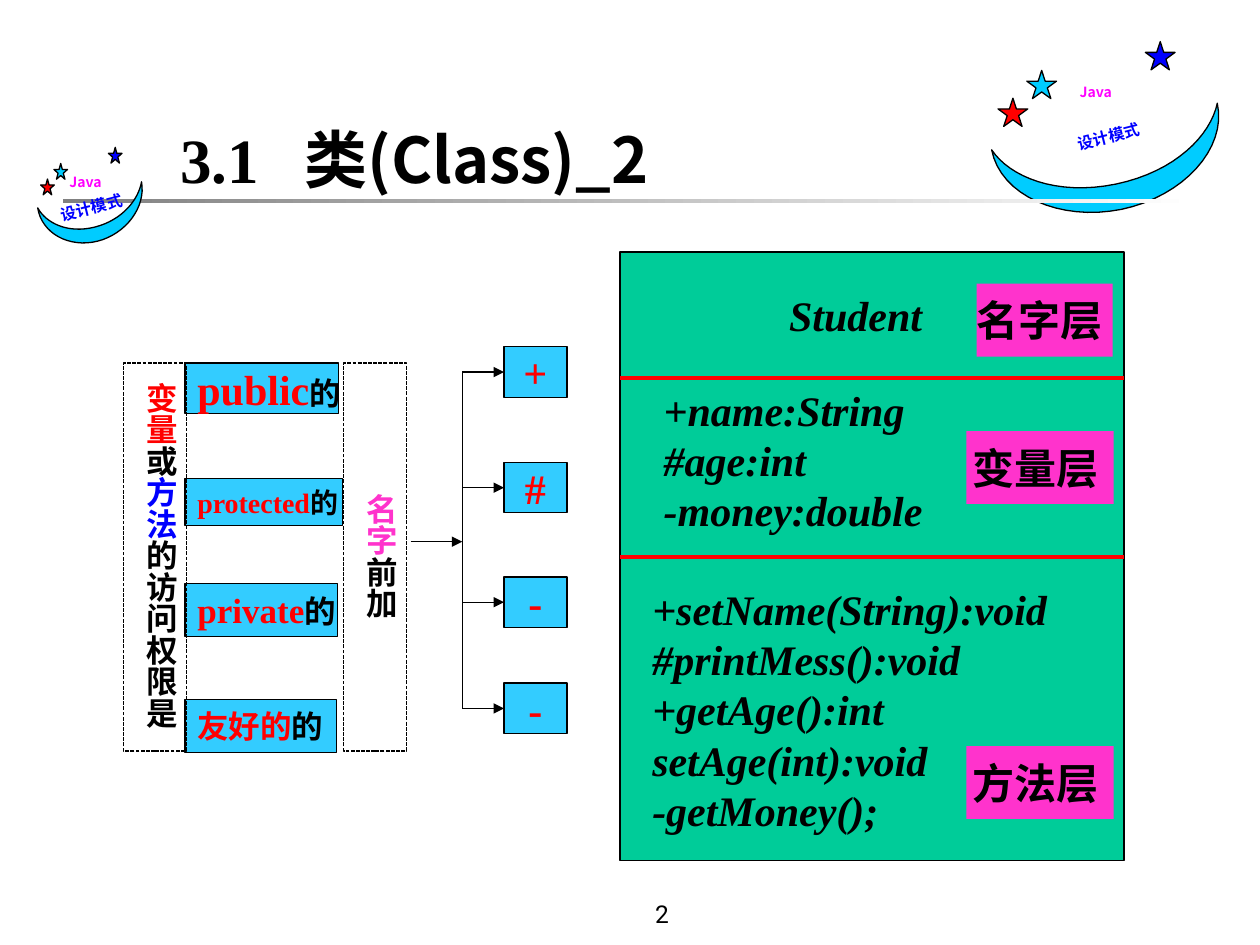
"""Build the slide on Java class diagrams and access marks."""
import dataclasses

import lxml.etree
import pptx
import pptx.dml.color
import pptx.enum.dml
import pptx.enum.shapes
import pptx.enum.text
import pptx.oxml.ns
import pptx.util

Cm = pptx.util.Cm
Pt = pptx.util.Pt
Kind = pptx.enum.shapes.MSO_SHAPE
Align = pptx.enum.text.PP_ALIGN
Anchor = pptx.enum.text.MSO_ANCHOR
qn = pptx.oxml.ns.qn


@dataclasses.dataclass(frozen=True)
class Theme:
    """Colours, fonts and type sizes of the slide."""
    black: str = "000000"
    white: str = "FFFFFF"
    gray: str = "808080"
    red: str = "FF0000"
    blue: str = "0000FF"
    cyan: str = "00CCFF"
    sky: str = "33CCFF"
    green: str = "00CC99"
    pink: str = "FF33CC"
    violet: str = "FF00FF"
    serif: str = "Times New Roman"
    hans: str = "Noto Sans CJK SC"
    kanji: str = "Noto Sans CJK JP"
    plain: str = "Roboto"
    title: int = 36
    head: int = 24
    mid: int = 20
    body: int = 18
    small: int = 16
    page: int = 14
    badge: int = 9
    tiny: int = 8


T = Theme()
MOON = [(0, 2.18), (0.36, 2.72), (1.3, 3.12), (2.51, 2.87), (3.71, 2.62),
        (4.42, 1.88), (4.55, 1.24), (4.75, 2.16), (3.86, 3.12), (2.62, 3.38),
        (1.37, 3.63), (0.18, 3.1), (0, 2.18)]
STARS = [(0.13, 1.14, T.red), (3.1, 0, T.blue), (0.71, 0.58, T.cyan)]


def tint(code):
    """Turn a hex code into a colour."""
    return pptx.dml.color.RGBColor.from_string(code)


def add_run(para, text, size, font, color=T.black, bold=True, italic=False):
    """Add one formatted run to a paragraph."""
    run = para.add_run()
    run.text = text
    face = run.font
    face.size, face.bold, face.italic, face.name = Pt(size), bold, italic, font
    face.color.rgb = tint(color)
    east = lxml.etree.SubElement(run._r.get_or_add_rPr(), qn("a:ea"))
    east.set("typeface", font)


def write(shape, lines, align=Align.CENTER, anchor=Anchor.MIDDLE, wrap=False):
    """Fill a shape with lines, each a list of runs."""
    frame = shape.text_frame
    frame.word_wrap, frame.vertical_anchor = wrap, anchor
    for i, runs in enumerate(lines):
        para = frame.add_paragraph() if i else frame.paragraphs[0]
        para.alignment = align
        for run in runs:
            add_run(para, *run)
    return frame


def paint(shape, fill=None, line=T.black):
    """Set the fill and outline of a shape and drop its shadow."""
    shape.shadow.inherit = False
    if fill:
        shape.fill.solid()
        shape.fill.fore_color.rgb = tint(fill)
    else:
        shape.fill.background()
    if line:
        shape.line.color.rgb = tint(line)
        shape.line.width = Pt(0.75)
    else:
        shape.line.fill.background()
    return shape


def add_box(host, place, fill=None, line=T.black, kind=Kind.RECTANGLE):
    """Add a painted preset shape."""
    return paint(host.add_shape(kind, *map(Cm, place)), fill, line)


def add_text(host, place, lines, **look):
    """Add a text box."""
    box = host.add_textbox(*map(Cm, place))
    write(box, lines, **look)
    return box


def add_line(host, start, end, color=T.black, width=0.75, arrow=False):
    """Add a straight line, with an arrowhead on request."""
    link = host.add_connector(pptx.enum.shapes.MSO_CONNECTOR.STRAIGHT,
                              *map(Cm, start + end))
    link.line.color.rgb = tint(color)
    link.line.width = Pt(width)
    if arrow:
        tip = lxml.etree.SubElement(link.line._get_or_add_ln(), qn("a:tailEnd"))
        tip.set("type", "triangle")
    lxml.etree.SubElement(link._element.spPr, qn("a:effectLst"))
    return link


def curve(knots, steps=16):
    """Sample a chain of cubic curves."""
    dots = [knots[0]]
    for i in range(0, len(knots) - 1, 3):
        for t in (n / steps for n in range(1, steps + 1)):
            mix = ((1 - t) ** 3, 3 * t * (1 - t) ** 2, 3 * t * t * (1 - t), t ** 3)
            dots.append(tuple(sum(m * k[axis] for m, k in zip(mix, knots[i:i + 4]))
                              for axis in (0, 1)))
    return dots


def add_badge(slide, left, top, wide=1.0, high=1.0):
    """Add the moon and stars badge, scaling all but its captions."""
    host = slide.shapes.add_group_shape().shapes

    def fit(x, y):
        return left + x * wide, top + y * high

    for text, size, font, color, x, y, width, turn in [
            ("Java", T.tiny, T.kanji, T.violet, 2.1, 0.71, 1.8, 0),
            ("设计模式", T.badge, T.hans, T.blue, 2.36, 1.6, 2.4, 345.8)]:
        mid, head = fit(x, y)
        box = add_text(host, (mid - width / 2, head, width, 0.66),
                       [[(text, size, font, color)]], anchor=Anchor.TOP)
        box.rotation = turn
    dots = [tuple(map(Cm, fit(x, y))) for x, y in curve(MOON)]
    path = host.build_freeform(*dots[0])
    path.add_line_segments(dots[1:], close=True)
    paint(path.convert_to_shape(), T.cyan)
    for x, y, color in STARS:
        add_box(host, fit(x, y) + (0.6 * wide, 0.57 * high), color,
                kind=Kind.STAR_5_POINT)


def add_title(slide):
    """Place and write the title."""
    title = slide.shapes.title
    title.left, title.top, title.width, title.height = map(Cm, (3.38, 2.34, 11.63, 1.7))
    frame = write(title, [[]], Align.LEFT, wrap=True)
    frame.auto_size = pptx.enum.text.MSO_AUTO_SIZE.NONE
    para = frame.paragraphs[0]
    stops = lxml.etree.SubElement(para._p.get_or_add_pPr(), qn("a:tabLst"))
    lxml.etree.SubElement(stops, qn("a:tab"), pos=str(Cm(2.5)), algn="l")
    add_run(para, "3.1\t", T.title, T.serif)
    add_run(para, "类(Class)_2", T.title, T.hans)


def add_rule(slide):
    """Add the fading bar under the title."""
    bar = add_box(slide.shapes, (1.27, 4.01, 22.86, 0.08), line=None)
    bar.fill.gradient()
    bar.fill.gradient_angle = 0
    for stop, color in zip(bar.fill.gradient_stops, (T.gray, T.white)):
        stop.color.rgb = tint(color)


def add_class(slide):
    """Add the class diagram with its three layers."""
    host = slide.shapes
    add_box(host, (12.5, 5.08, 10.16, 12.27), T.green)
    for y in (7.62, 11.23):
        add_line(host, (12.5, y), (22.66, y), T.red, 2.25)
    layers = [
        ((13.54, 5.72, 7.42, 1.27), Align.CENTER, ["Student"]),
        ((13.13, 7.62, 6.78, 3.3), Align.LEFT,
         ["+name:String", "#age:int", "-money:double"]),
        ((12.9, 11.63, 8.66, 5.33), Align.LEFT,
         ["+setName(String):void", "#printMess():void", "+getAge():int",
          "setAge(int):void", "-getMoney();"])]
    for place, align, lines in layers:
        runs = [[(line, T.head, T.serif, T.black, True, True)] for line in lines]
        box = add_text(host, place, runs, align=align, anchor=Anchor.TOP, wrap=True)
        for para in box.text_frame.paragraphs:
            para.line_spacing = Pt(28.8)
    for text, x, y, w in [("名字层 ", 19.69, 5.72, 2.74), ("变量层 ", 19.48, 8.69, 2.97),
                          ("方法层 ", 19.48, 15.04, 2.97)]:
        write(add_box(host, (x, y, w, 1.47), T.pink, None), [[(text, T.head, T.hans)]])


def add_column(host, left, runs):
    """Add a dotted column of upright text, centred by equal margins."""
    high = 7.82
    box = add_box(host, (left, 7.32, 1.27, high))
    box.line.dash_style = pptx.enum.dml.MSO_LINE.SQUARE_DOT
    frame = write(box, [[(text, T.body, T.hans, color) for text, color in runs]],
                  anchor=Anchor.TOP, wrap=True)
    count = sum(len(text) for text, color in runs)
    frame.margin_left = frame.margin_right = Cm(0.13)
    frame.margin_top = frame.margin_bottom = Cm((high - 0.64 * count) / 2)
    frame._txBody.bodyPr.set("vert", "eaVert")


def add_access(slide):
    """Add the access levels and the marks they lead to."""
    host = slide.shapes.add_group_shape().shapes
    trunk, tops = 9.32, (6.99, 9.32, 11.63, 13.77)
    mids = [top + 0.51 for top in tops]
    for mark, top, mid in zip("+#--", tops, mids):
        box = add_box(host, (10.16, top, 1.27, 1.02), T.sky)
        write(box, [[(mark, T.head, T.serif, T.red)]])
        add_line(host, (trunk, mid), (10.16, mid), arrow=True).end_connect(box, 1)
    add_line(host, (trunk, mids[0]), (trunk, mids[-1]))
    add_line(host, (8.28, 10.92), (trunk, 10.92), arrow=True)
    levels = [("public", T.head, T.serif, T.body, 7.32, 3.1, 1.02),
              ("protected", T.small, T.serif, T.small, 9.65, 3.18, 0.94),
              ("private", T.mid, T.serif, T.body, 11.76, 3.07, 1.07),
              ("友好的", T.body, T.hans, T.body, 14.1, 3.05, 1.07)]
    for word, size, font, last, top, wide, high in levels:
        write(add_box(host, (3.73, top, wide, high), T.sky),
              [[(word, size, font, T.red), ("的", last, T.hans)]], Align.LEFT)
    add_column(host, 2.49, [("变量", T.red), ("或", T.black), ("方法", T.blue),
                            ("的访问权限是", T.black)])
    add_column(host, 6.93, [("名字", T.pink), ("前加", T.black)])


def main():
    """Build and save the slide."""
    deck = pptx.Presentation()
    deck.slide_width, deck.slide_height = Cm(25.4), Cm(19.05)
    slide = deck.slides.add_slide(deck.slide_layouts[5])
    add_title(slide)
    add_badge(slide, 19.99, 0.84)
    add_rule(slide)
    add_badge(slide, 0.76, 2.97, 0.46, 0.56)
    add_text(slide.shapes, (9.32, 17.58, 8.05, 1.27),
             [[("2", T.page, T.plain, T.black, False)]], anchor=Anchor.BOTTOM, wrap=True)
    add_class(slide)
    add_access(slide)
    deck.save("out.pptx")


if __name__ == "__main__":
    main()
